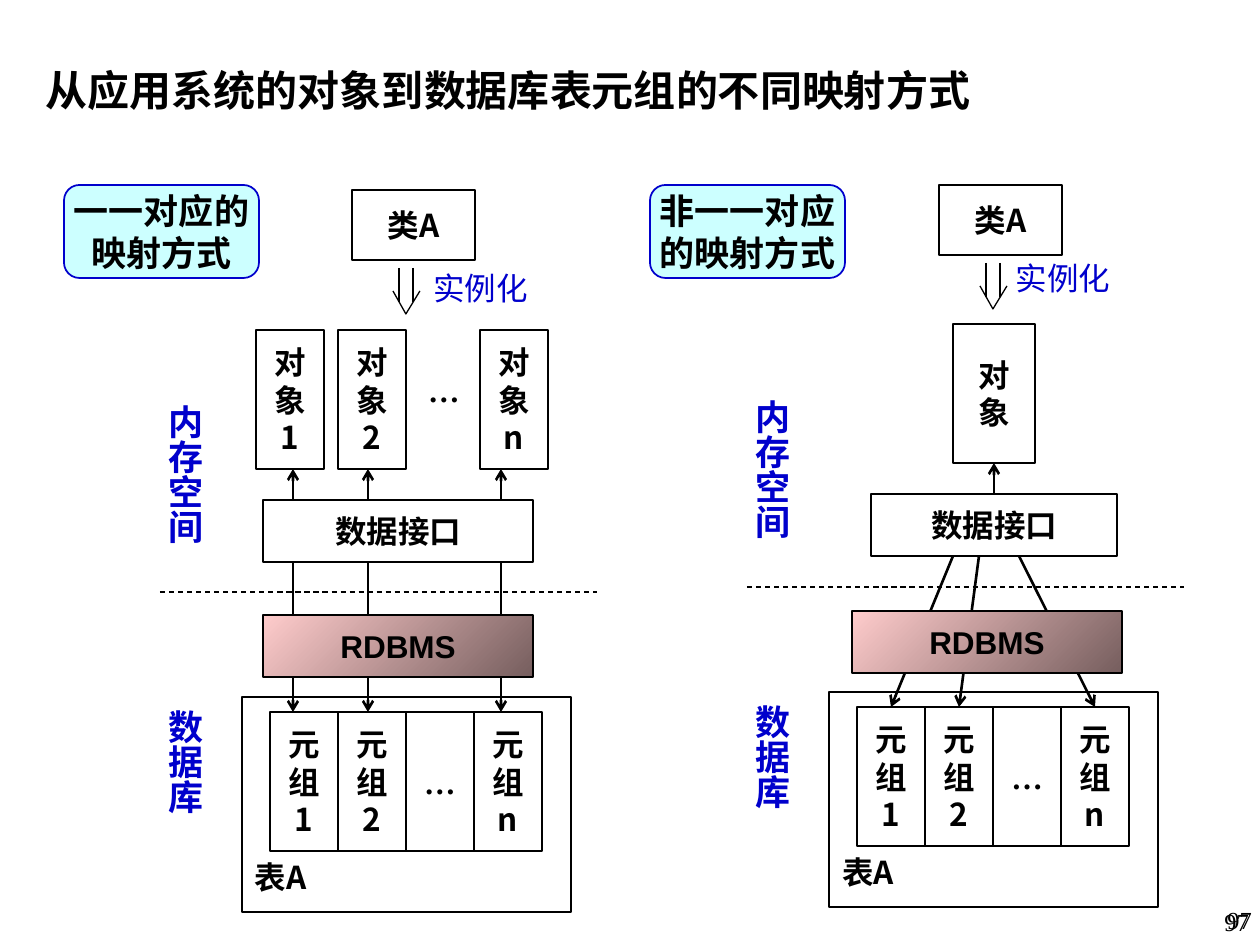
from lxml import etree
from pptx import Presentation
from pptx.dml.color import RGBColor
from pptx.enum.dml import MSO_LINE
from pptx.enum.shapes import MSO_CONNECTOR, MSO_SHAPE
from pptx.enum.text import MSO_ANCHOR, MSO_AUTO_SIZE, PP_ALIGN
from pptx.oxml.ns import qn
from pptx.util import Pt

PX = 914400 / 126
RECT, ROUNDED = MSO_SHAPE.RECTANGLE, MSO_SHAPE.ROUNDED_RECTANGLE
STRAIGHT, DASH = MSO_CONNECTOR.STRAIGHT, MSO_LINE.DASH
TOP, MIDDLE = MSO_ANCHOR.TOP, MSO_ANCHOR.MIDDLE
LEFT, CENTER, RIGHT = PP_ALIGN.LEFT, PP_ALIGN.CENTER, PP_ALIGN.RIGHT
SANS, SANS_JP = "Noto Sans CJK SC", "Noto Sans CJK JP"
SERIF, ARIAL = "Times New Roman", "Arial"
BLACK, WHITE, BLUE, CYAN = "000000", "FFFFFF", "0000CC", "CCFFFF"
SIDE_TOP, SIDE_BOTTOM = 0, 2
CELL_WIDTH, CELL_HEIGHT = 68, 139


def emu(*lengths):
    return [round(length * PX) for length in lengths]


def color(value):
    return RGBColor.from_string(value)


def write(shape, text, font=SANS, east=None, size=18, ink=BLACK, bold=True,
          align=CENTER, anchor=MIDDLE, wrap=False, margins=(13, 6)):
    frame = shape.text_frame
    frame.auto_size = MSO_AUTO_SIZE.NONE
    frame.word_wrap = wrap
    frame.vertical_anchor = anchor
    across, down = emu(*margins)
    frame.margin_left = frame.margin_right = across
    frame.margin_top = frame.margin_bottom = down
    for index, line in enumerate(text.split("\n")):
        para = frame.add_paragraph() if index else frame.paragraphs[0]
        para.alignment = align
        span = para.add_run()
        span.text = line
        span.font.name = font
        span.font.size = Pt(size)
        span.font.bold = bold
        span.font.color.rgb = color(ink)
        east_font = etree.SubElement(span.font._element, qn("a:ea"))
        east_font.set("typeface", east or font)


def add_box(page, place, text="", fill=WHITE, line=BLACK, weight=0.75,
            kind=RECT, **style):
    box = page.shapes.add_shape(kind, *emu(*place))
    box.shadow.inherit = False
    if fill:
        box.fill.solid()
        box.fill.fore_color.rgb = color(fill)
    else:
        box.fill.background()
    box.line.color.rgb = color(line)
    box.line.width = Pt(weight)
    if text:
        write(box, text, **style)
    return box


def add_label(page, place, text, **style):
    label = page.shapes.add_textbox(*emu(*place))
    write(label, text, **{"align": LEFT, "anchor": TOP, **style})
    return label


def add_vertical_label(page, left, top, text):
    label = add_label(page, (left, top, 67, 204), text, size=20, ink=BLUE,
                      wrap=True, margins=(6, 13))
    label.text_frame._txBody.bodyPr.set("vert", "eaVert")


def add_line(page, start, end, weight=0.75, dash=None, arrows=()):
    line = page.shapes.add_connector(STRAIGHT, *emu(*start, *end))
    line.line.color.rgb = color(BLACK)
    line.line.width = Pt(weight)
    if dash:
        line.line.dash_style = dash
    for name in arrows:
        etree.SubElement(line.line._get_or_add_ln(), qn(f"a:{name}"), type="arrow")
    etree.SubElement(line._element.spPr, qn("a:effectLst"))
    return line


def add_open_arrow(page, left, top):
    for offset in (6, 20):
        add_line(page, (left + offset, top), (left + offset, top + 34))
    builder = page.shapes.build_freeform(left, top + 23, scale=PX)
    builder.add_line_segments([(left + 13, top + 46), (left + 27, top + 23)], close=False)
    tip = builder.convert_to_shape()
    tip.shadow.inherit = False
    tip.fill.background()
    tip.line.color.rgb = color(BLACK)
    tip.line.width = Pt(0.75)


def add_rdbms(page, left, top):
    box = add_box(page, (left, top, 270, 62), "RDBMS", font=ARIAL)
    box.fill.gradient()
    box.fill.gradient_angle = 315
    for stop, (position, shade) in zip(box.fill.gradient_stops,
                                       ((0, "FFCCCC"), (1, "765E5E"))):
        stop.position = position
        stop.color.rgb = color(shade)


def add_panel(page, x, y, heading, heading_left):
    add_box(page, (heading_left, 185, 195, 93), heading, fill=CYAN, line=BLUE,
            weight=1, kind=ROUNDED, font=SERIF, east=SANS, size=20,
            anchor=TOP, wrap=True, margins=(0, 0))
    add_box(page, (x + 352, y + 190, 123, 70), "类A")
    add_open_arrow(page, x + 393, y + 268)
    add_line(page, (x + 160, y + 592), (x + 597, y + 592), dash=DASH)
    add_box(page, (x + 242, y + 697, 329, 215), fill=None)
    add_label(page, (x + 242, y + 852, 219, 50), "表A", wrap=True)
    add_vertical_label(page, x + 145, y + 392, "内存空间")
    add_vertical_label(page, x + 145, y + 697, "数据库")
    tuples = []
    for index, text in enumerate(("元\n组\n1", "元\n组\n2", "…", "元\n组\nn")):
        place = (x + 270 + index * CELL_WIDTH, y + 712, CELL_WIDTH, CELL_HEIGHT)
        cell = add_box(page, place, text, font=SERIF if text == "…" else SANS)
        if text != "…":
            tuples.append(cell)
    return tuples


def add_instance_label(page, left, top):
    add_label(page, (left, top, 120, 50), "实例化", font=SANS_JP, ink=BLUE, bold=False)


def add_one_to_one(page):
    add_panel(page, 0, 0, "一一对应的映射方式", 64)
    add_instance_label(page, 420, 263)
    for left, number in ((256, "1"), (338, "2"), (480, "n")):
        add_box(page, (left, 330, CELL_WIDTH, CELL_HEIGHT), f"对\n象\n{number}")
    add_label(page, (415, 365, 57, 50), "…", font=SERIF)
    for x in (293, 368, 501):
        add_line(page, (x, 712), (x, 469), weight=1.5, arrows=("headEnd", "tailEnd"))
    add_box(page, (263, 500, 270, 62), "数据接口")
    add_rdbms(page, 263, 615)


def add_many_to_one(page):
    tuples = add_panel(page, 587, -5, "非一一对应的映射方式", 650)
    add_instance_label(page, 1003, 253)
    instance = add_box(page, (953, 324, 82, CELL_HEIGHT), "对\n象")
    interface = add_box(page, (871, 494, 246, 62), "数据接口")
    link = add_line(page, (994, 494), (994, 463), weight=1.5, arrows=("tailEnd",))
    link.begin_connect(interface, SIDE_TOP)
    link.end_connect(instance, SIDE_BOTTOM)
    for cell, x in zip(tuples, (953, 979, 1019)):
        link = add_line(page, (x, 707), (x, 556), weight=1.5, arrows=("headEnd",))
        link.begin_connect(cell, SIDE_TOP)
    add_rdbms(page, 852, 611)


def main():
    deck = Presentation()
    deck.slide_width, deck.slide_height = emu(1260, 945)
    page = deck.slides.add_slide(deck.slide_layouts[5])
    title = page.shapes.title
    title.left, title.top, title.width, title.height = emu(33, 58, 1104, 63)
    write(title, "从应用系统的对象到数据库表元组的不同映射方式", font=SERIF, east=SANS,
          size=24, align=LEFT, anchor=TOP, wrap=True)
    add_one_to_one(page)
    add_many_to_one(page)
    for left, top in ((1000, 890), (1003, 888)):
        add_label(page, (left, top, 262, 63), "97", font=SERIF, size=14, bold=False,
                  align=RIGHT, anchor=MIDDLE, wrap=True)
    deck.save("out.pptx")


if __name__ == "__main__":
    main()
